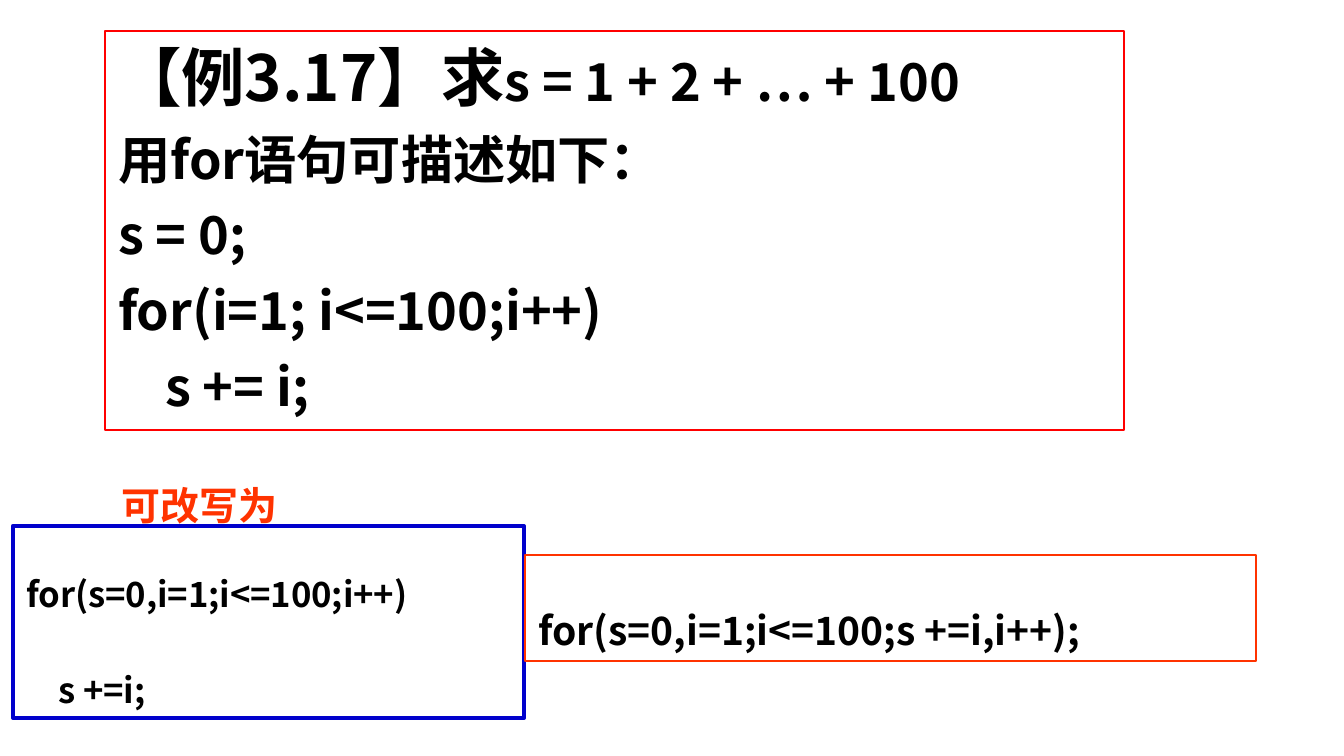
from dataclasses import dataclass
from typing import Optional

from lxml import etree
from pptx import Presentation
from pptx.dml.color import RGBColor
from pptx.enum.shapes import MSO_SHAPE
from pptx.enum.text import MSO_ANCHOR, PP_ALIGN
from pptx.oxml.ns import qn
from pptx.util import Pt

PX = 914400 / 134.4
FONT = "Noto Sans CJK SC"
BLACK = RGBColor(0, 0, 0)
RED = RGBColor(0xFF, 0, 0)
ORANGE = RGBColor(0xFF, 0x33, 0)
BLUE = RGBColor(0, 0, 0xCC)
RECTANGLE = MSO_SHAPE.RECTANGLE
TOP = MSO_ANCHOR.TOP
LEFT = PP_ALIGN.LEFT
SUBSCRIPT = "-25000"


@dataclass
class Line:
    spans: list[tuple[str, int]]
    indent: int = 0


@dataclass
class Panel:
    left: int
    top: int
    width: int
    height: int
    lines: list[Line]
    space_before: int
    border: Optional[RGBColor] = None
    border_width: float = 0.75
    color: RGBColor = BLACK
    lowered: bool = True
    wrap: bool = True


PANELS = [
    Panel(105, 31, 1019, 399, [
        Line([("【例3.17】求", 34), ("s = 1 + 2 + … + 100", 28)]),
        Line([("用for语句可描述如下：", 28)]),
        Line([("s = 0;", 28)]),
        Line([("for(i=1; i<=100;i++)", 28)]),
        Line([("s += i;", 28)], indent=47),
    ], 7, RED, lowered=False),
    Panel(13, 526, 511, 192, [
        Line([("for(s=0,i=1;i<=100;i++)", 32)]),
        Line([("s +=i;", 32)], indent=32),
    ], 8, BLUE, 2.25),
    Panel(108, 430, 183, 105, [Line([("可改写为", 36)])], 9,
          color=ORANGE, wrap=False),
    Panel(525, 555, 731, 106, [Line([("for(s=0,i=1;i<=100;s +=i,i++);", 36)])], 9,
          ORANGE, wrap=False),
]


def px(length: int) -> int:
    return round(length * PX)


def format_span(span, size: int, panel: Panel) -> None:
    span.font.size = Pt(size)
    span.font.bold = True
    span.font.name = FONT
    span.font.color.rgb = panel.color
    properties = span.font._element
    etree.SubElement(properties, qn("a:ea")).set("typeface", FONT)
    if panel.lowered:
        properties.set("baseline", SUBSCRIPT)


def draw_panel(page, panel: Panel) -> None:
    bounds = [px(v) for v in (panel.left, panel.top, panel.width, panel.height)]
    if panel.border is None:
        box = page.shapes.add_textbox(*bounds)
    else:
        box = page.shapes.add_shape(RECTANGLE, *bounds)
        box.shadow.inherit = False
        box.fill.background()
        box.line.color.rgb = panel.border
        box.line.width = Pt(panel.border_width)
    frame = box.text_frame
    frame.word_wrap = panel.wrap
    frame.vertical_anchor = TOP
    frame.text = "\n".join("" for _ in panel.lines)
    for para, line in zip(frame.paragraphs, panel.lines):
        para.alignment = LEFT
        para.space_before = Pt(panel.space_before)
        para._p.get_or_add_pPr().set("marL", str(px(line.indent)))
        for text, size in line.spans:
            span = para.add_run()
            span.text = text
            format_span(span, size, panel)


def main() -> None:
    deck = Presentation()
    deck.slide_width, deck.slide_height = px(1344), px(756)
    page = deck.slides.add_slide(deck.slide_layouts[6])
    for panel in PANELS:
        draw_panel(page, panel)
    deck.save("out.pptx")


if __name__ == "__main__":
    main()
